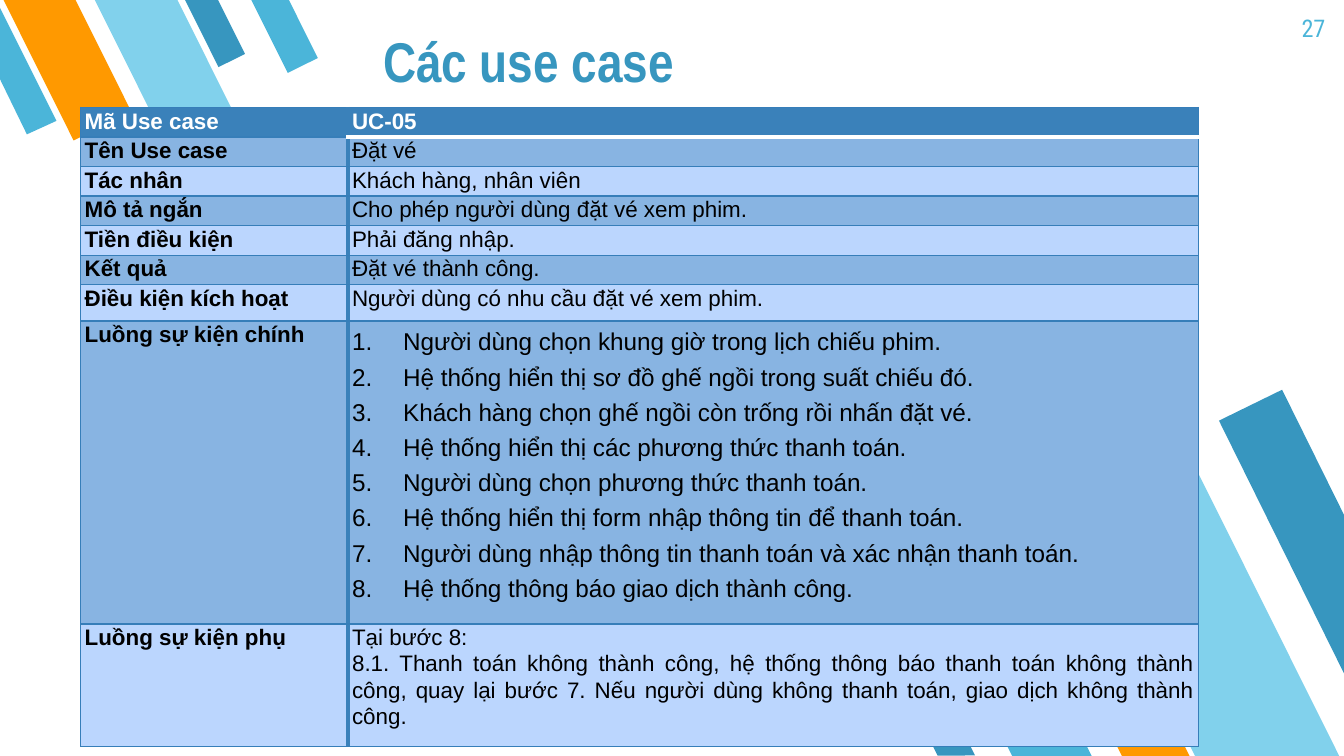
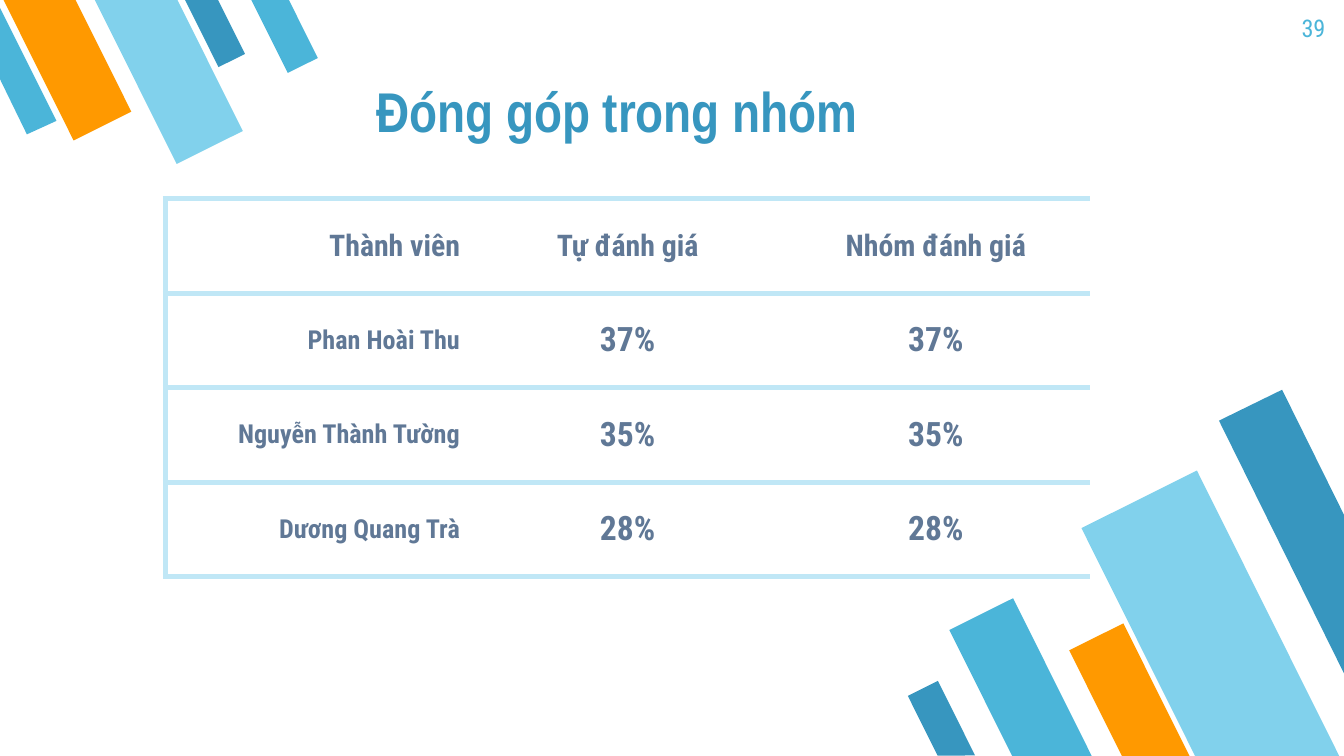
from lxml import etree
from pptx import Presentation
from pptx.dml.color import RGBColor
from pptx.enum.shapes import MSO_SHAPE as Preset
from pptx.enum.text import MSO_ANCHOR as Anchor, MSO_AUTO_SIZE as AutoSize, PP_ALIGN as Align
from pptx.oxml.ns import qn
from pptx.util import Inches, Pt

# Shared palette and fonts
SKY, PALE, ORANGE, BLUE = "4BB5D9", "81D1EC", "FF9900", "3796BF"
HEADER, BAND, LIGHT, GRID = "3A81BA", "88B4E2", "BBD6FE", "367EB9"
SLATE, RULE, WHITE, BLACK = "607896", "C0E7F6", "FFFFFF", "000000"
TITLE_FONT, TABLE_FONT, NOTE_FONT = "Arial Narrow", "Arial", "Roboto Condensed"
NO_STYLE = "{2D5ABB26-0587-4C30-8999-92F81FD0307C}"

# Stripes: left, top, width, height, colour
LOWER_STRIPES = [
    (7.33, 4.5, 0.53, 1.32, SKY),
    (8.53, 3.59, 0.96, 2.39, PALE),
    (8.18, 4.68, 0.45, 1.11, ORANGE),
    (6.88, 5.09, 0.25, 0.62, BLUE),
]
UPPER_STRIPES = [
    (1.49, -0.08, 0.22, 0.56, BLUE),
    (0.26, -0.18, 0.48, 1.18, ORANGE),
    (0.98, -0.2, 0.55, 1.37, PALE),
    (1.99, -0.1, 0.25, 0.62, SKY),
]
LOWER_EDGE = [(9.54, 2.9), (9.07, 3.13), (10, 5.01), (10, 3.83)]
UPPER_EDGE = [(0.2, 1), (0.42, 0.9), (0, 0.06), (0, 0.59)]

USE_CASE = [
    ("Mã Use case", "UC-05"),
    ("Tên Use case", "Đặt vé"),
    ("Tác nhân", "Khách hàng, nhân viên"),
    ("Mô tả ngắn", "Cho phép người dùng đặt vé xem phim."),
    ("Tiền điều kiện", "Phải đăng nhập."),
    ("Kết quả", "Đặt vé thành công."),
    ("Điều kiện kích hoạt", "Người dùng có nhu cầu đặt vé xem phim."),
    ("Luồng sự kiện chính", [
        "Người dùng chọn khung giờ trong lịch chiếu phim.",
        "Hệ thống hiển thị sơ đồ ghế ngồi trong suất chiếu đó.",
        "Khách hàng chọn ghế ngồi còn trống rồi nhấn đặt vé.",
        "Hệ thống hiển thị các phương thức thanh toán.",
        "Người dùng chọn phương thức thanh toán.",
        "Hệ thống hiển thị form nhập thông tin để thanh toán.",
        "Người dùng nhập thông tin thanh toán và xác nhận thanh toán.",
        "Hệ thống thông báo giao dịch thành công.",
    ]),
    ("Luồng sự kiện phụ", [
        "Tại bước 8:",
        "8.1. Thanh toán không thành công, hệ thống thông báo thanh toán không "
        "thành công, quay lại bước 7. Nếu người dùng không thanh toán, giao dịch "
        "không thành công.",
    ]),
]
MAIN_FLOW, SIDE_FLOW = 7, 8
USE_CASE_HEIGHTS = [0.22] * 6 + [0.27, 2.23, 0.91]

CONTRIBUTIONS = [
    ("Thành viên", "Tự đánh giá", "Nhóm đánh giá"),
    ("Phan Hoài Thu", "37%", "37%"),
    ("Nguyễn Thành Tường", "35%", "35%"),
    ("Dương Quang Trà", "28%", "28%"),
]


def color(hex_code):
    return RGBColor.from_string(hex_code)


def number_paragraph(para, indent=0.38):
    props = para._p.get_or_add_pPr()
    props.set("marL", str(Inches(indent)))
    props.set("indent", str(-Inches(indent)))
    tint = etree.SubElement(props, qn("a:buClr"))
    etree.SubElement(tint, qn("a:srgbClr"), val=BLACK)
    etree.SubElement(props, qn("a:buAutoNum"), type="arabicPeriod")


def write(frame, text, font=TABLE_FONT, size=12, ink=BLACK, bold=False,
          align=Align.LEFT, spacing=None, after=None, numbered=False):
    """Fill a frame with one string or a list; space after goes to the last line."""
    lines = [text] if isinstance(text, str) else text
    frame.word_wrap = True
    for index, line in enumerate(lines):
        para = frame.add_paragraph() if index else frame.paragraphs[0]
        para.alignment = align
        if spacing:
            para.line_spacing = spacing
        if after and index == len(lines) - 1:
            para.space_after = Pt(after)
        if numbered:
            number_paragraph(para)
        span = para.add_run()
        span.text = line
        span.font.name = font
        span.font.size = Pt(size)
        span.font.bold = bold
        span.font.color.rgb = color(ink)


def set_insets(target, side, end):
    target.margin_left = target.margin_right = Inches(side)
    target.margin_top = target.margin_bottom = Inches(end)


def set_borders(cell, **sides):
    """Sides L, R, T, B each take (colour, points)."""
    props = cell._tc.get_or_add_tcPr()
    given = [side for side in "LRTB" if side in sides]
    for index, side in enumerate(given):
        hex_code, points = sides[side]
        line = etree.Element(qn("a:ln" + side), w=str(Pt(points)))
        fill = etree.SubElement(line, qn("a:solidFill"))
        etree.SubElement(fill, qn("a:srgbClr"), val=hex_code)
        props.insert(index, line)


def paint(shape, hex_code):
    shape.shadow.inherit = False
    shape.fill.solid()
    shape.fill.fore_color.rgb = color(hex_code)
    shape.line.fill.background()


# Corner stripes, kept on the layout so that every page shares them
def add_stripes(page, stripes, rotation, edge, edge_color):
    group = page.shapes.add_group_shape()
    for left, top, width, height, hex_code in stripes:
        stripe = group.shapes.add_shape(
            Preset.FLOWCHART_MANUAL_INPUT,
            Inches(left), Inches(top), Inches(width), Inches(height))
        stripe.rotation = rotation
        stripe._element.spPr.find(qn("a:xfrm")).set("flipH", "1")
        paint(stripe, hex_code)
    points = [(Inches(x), Inches(y)) for x, y in edge]
    builder = group.shapes.build_freeform(*points[0])
    builder.add_line_segments(points[1:], close=True)
    paint(builder.convert_to_shape(), edge_color)
    page.slide_layout.shapes._spTree.append(group._element)


# Title and page number
def add_heading(page, text, number, left, top):
    title = page.shapes.title
    title.left, title.top = Inches(left), Inches(top)
    title.width, title.height = Inches(6.3), Inches(0.74)
    frame = title.text_frame
    frame.auto_size = AutoSize.NONE
    frame.vertical_anchor = Anchor.BOTTOM
    set_insets(frame, 0.1, 0.1)
    write(frame, text, font=TITLE_FONT, size=30, ink=BLUE, bold=True)

    box = page.shapes.add_textbox(Inches(9.36), 0, Inches(0.6), Inches(0.43))
    set_insets(box.text_frame, 0.1, 0.1)
    write(box.text_frame, number, font=NOTE_FONT, size=13, ink=SKY, align=Align.RIGHT)


def add_plain_table(page, left, top, widths, heights):
    table = page.shapes.add_table(
        len(heights), len(widths), Inches(left), Inches(top),
        Inches(sum(widths)), Inches(sum(heights))).table
    table._tbl.tblPr.find(qn("a:tableStyleId")).text = NO_STYLE
    table.first_row = table.horz_banding = False
    for column, width in zip(table.columns, widths):
        column.width = Inches(width)
    for row, height in zip(table.rows, heights):
        row.height = Inches(height)
    return table


# Use case table: labels on the left, details on the right
def add_use_case(page, left, top):
    table = add_plain_table(page, left, top, [1.99, 6.33], USE_CASE_HEIGHTS)
    thin, divider, gap = (GRID, 0.75), (HEADER, 2), (WHITE, 2)
    for r, texts in enumerate(USE_CASE):
        for c, text in enumerate(texts):
            cell = table.cell(r, c)
            set_insets(cell, 0.03, 0)
            style = dict(spacing=1.05, after=8, bold=c == 0 or r == 0,
                         ink=BLACK if r else WHITE)
            if c and r == MAIN_FLOW:
                style.update(size=13, spacing=1.3, after=None,
                             align=Align.JUSTIFY, numbered=True)
            elif c and r == SIDE_FLOW:
                style.update(align=Align.JUSTIFY)
            write(cell.text_frame, text, **style)

            cell.fill.solid()
            cell.fill.fore_color.rgb = color((BAND if r % 2 else LIGHT) if r else HEADER)
            set_borders(cell,
                        L=divider if c else thin,
                        R=thin if c else divider,
                        T=gap if c and r == 1 else thin,
                        B=gap if c and r == 0 else thin)


# Contribution table: ruled rows with a left edge
def add_contributions(page, left, top, width, height):
    rows, columns = len(CONTRIBUTIONS), len(CONTRIBUTIONS[0])
    table = add_plain_table(page, left, top, [width / columns] * columns,
                            [height / rows] * rows)
    rule = (RULE, 3)
    for r, texts in enumerate(CONTRIBUTIONS):
        for c, text in enumerate(texts):
            cell = table.cell(r, c)
            cell.vertical_anchor = Anchor.MIDDLE
            set_insets(cell, 0.1, 0.07)
            size = 16 if r == 0 else 18 if c else 14
            write(cell.text_frame, text, font=NOTE_FONT, size=size, ink=SLATE,
                  bold=True, align=Align.CENTER if c else Align.RIGHT)
            cell.fill.background()
            sides = dict(T=rule, B=rule)
            if c == 0:
                sides["L"] = rule
            set_borders(cell, **sides)


def main():
    deck = Presentation()
    deck.slide_width, deck.slide_height = Inches(10), Inches(10 * 9 / 16)
    title_only = deck.slide_layouts[5]

    page = deck.slides.add_slide(title_only)
    add_stripes(page, LOWER_STRIPES, 153.5, LOWER_EDGE, BLUE)
    add_stripes(page, UPPER_STRIPES, 333.5, UPPER_EDGE, SKY)
    add_heading(page, "Các use case", "27", 2.75, 0.06)
    add_use_case(page, 0.6, 0.8)

    page = deck.slides.add_slide(title_only)
    add_heading(page, "Đóng góp trong nhóm", "39", 2.7, 0.43)
    add_contributions(page, 1.23, 1.48, 6.88, 2.81)

    deck.save("out.pptx")


if __name__ == "__main__":
    main()
